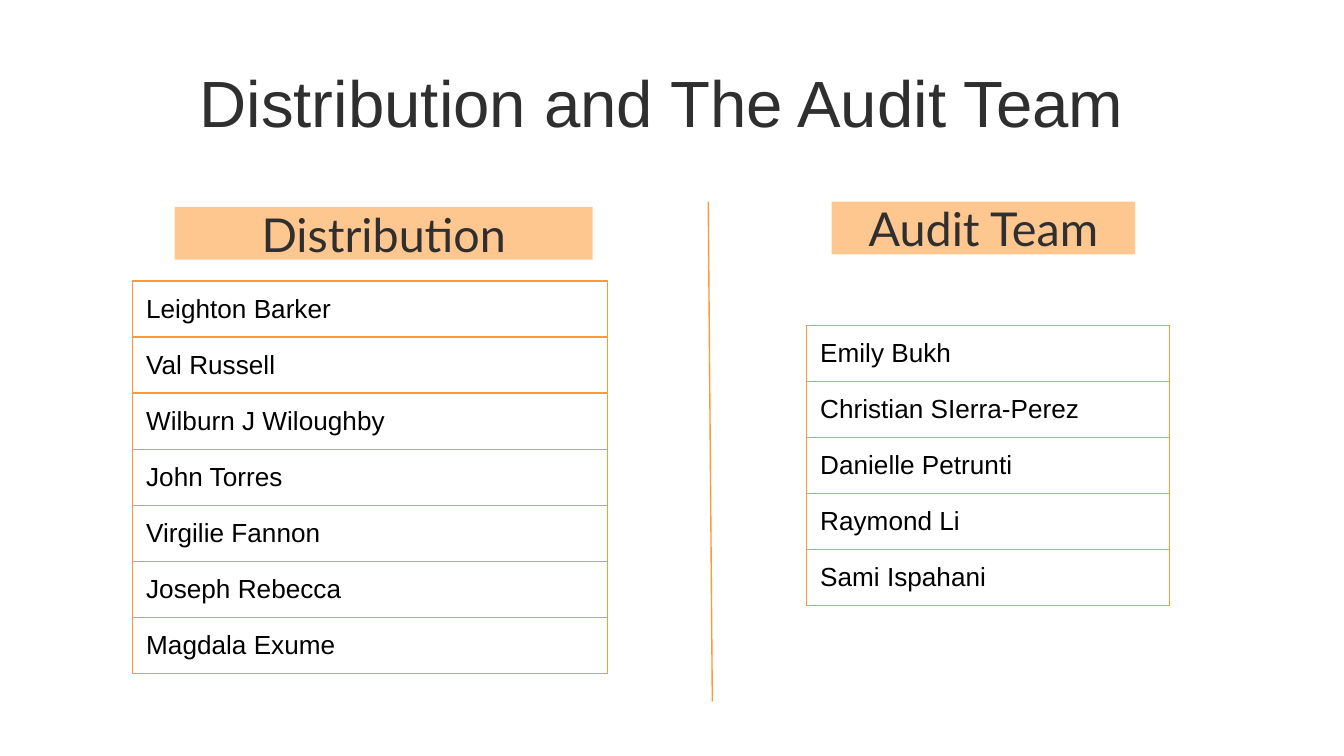
from dataclasses import dataclass

from lxml import etree
from pptx import Presentation
from pptx.dml.color import RGBColor
from pptx.enum.shapes import MSO_CONNECTOR, MSO_SHAPE
from pptx.enum.text import MSO_ANCHOR, PP_ALIGN
from pptx.oxml import parse_xml
from pptx.oxml.ns import nsdecls, qn
from pptx.util import Pt

RECTANGLE = MSO_SHAPE.RECTANGLE
STRAIGHT = MSO_CONNECTOR.STRAIGHT
CENTER = PP_ALIGN.CENTER
MIDDLE, BOTTOM = MSO_ANCHOR.MIDDLE, MSO_ANCHOR.BOTTOM


@dataclass(frozen=True)
class Theme:
    ink: str = "302F2F"
    black: str = "000000"
    orange: str = "FF9933"
    heading_alpha: int = 54000
    body_font: str = "Arial"
    heading_font: str = "Lato"
    title_size: int = 35
    heading_size: int = 25
    name_size: int = 14
    line_width: float = 0.75


THEME = Theme()
EMU_PER_PX = 2286  # 400 px to the inch
PAGE_SIZE = (4000, 2250)
INSET = 40
CELL_BOTTOM_INSET = 32  # lets a line of text fit the row height
ROW_HEIGHT = 167

TITLE = ("Distribution and The Audit Team", (296, 112, 3348, 348))
DIVIDER = (2108, 600, 2120, 2088)
GROUPS = [
    {
        "heading": "Distribution",
        "heading_box": (520, 616, 1244, 157),
        "table_origin": (395, 836),
        "table_width": 1412,
        "names": ["Leighton Barker", "Val Russell", "Wilburn J Wiloughby",
                  "John Torres", "Virgilie Fannon", "Joseph Rebecca",
                  "Magdala Exume"],
    },
    {
        "heading": "Audit Team",
        "heading_box": (2475, 600, 904, 157),
        "table_origin": (2401, 968),
        "table_width": 1080,
        "names": ["Emily Bukh", "Christian SIerra-Perez", "Danielle Petrunti",
                  "Raymond Li", "Sami Ispahani"],
    },
]


def px(*lengths):
    return [length * EMU_PER_PX for length in lengths]


def write(frame, text, font, size, color, align=None):
    frame.text = text
    paragraph = frame.paragraphs[0]
    paragraph.alignment = align
    style = paragraph.runs[0].font
    style.name, style.size = font, Pt(size)
    style.color.rgb = RGBColor.from_string(color)


def set_insets(holder, bottom=INSET):
    """Set the margins of a text frame or a table cell."""
    for side in ("left", "right", "top"):
        setattr(holder, f"margin_{side}", INSET * EMU_PER_PX)
    holder.margin_bottom = bottom * EMU_PER_PX


def add_title(page):
    text, place = TITLE
    frame = page.shapes.add_textbox(*px(*place)).text_frame
    frame.word_wrap = True
    frame.vertical_anchor = BOTTOM
    set_insets(frame)
    write(frame, text, THEME.body_font, THEME.title_size, THEME.ink, CENTER)


def add_heading(page, text, place):
    box = page.shapes.add_shape(RECTANGLE, *px(*place))
    box.shadow.inherit = False
    box.fill.solid()
    box.fill.fore_color.rgb = RGBColor.from_string(THEME.orange)
    color = box._element.spPr.find(qn("a:solidFill"))[0]
    etree.SubElement(color, qn("a:alpha"), val=str(THEME.heading_alpha))
    box.line.fill.background()
    frame = box.text_frame
    frame.word_wrap = True
    frame.vertical_anchor = MIDDLE
    set_insets(frame)
    write(frame, text, THEME.heading_font, THEME.heading_size, THEME.ink, CENTER)


def set_borders(cell):
    properties = cell._tc.get_or_add_tcPr()
    for index, side in enumerate("LRTB"):
        properties.insert(index, parse_xml(
            f'<a:ln{side} {nsdecls("a")} w="{Pt(THEME.line_width)}">'
            f'<a:solidFill><a:srgbClr val="{THEME.orange}"/></a:solidFill>'
            f'</a:ln{side}>'))


def add_name_table(page, names, origin, width):
    size = (width, ROW_HEIGHT * len(names))
    table = page.shapes.add_table(len(names), 1, *px(*origin, *size)).table
    table.first_row = table.horz_banding = False
    for index, name in enumerate(names):
        cell = table.cell(index, 0)
        cell.fill.background()
        set_insets(cell, CELL_BOTTOM_INSET)
        set_borders(cell)
        write(cell.text_frame, name, THEME.body_font, THEME.name_size, THEME.black)


def add_divider(page):
    divider = page.shapes.add_connector(STRAIGHT, *px(*DIVIDER))
    divider.line.color.rgb = RGBColor.from_string(THEME.orange)
    divider.line.width = Pt(THEME.line_width)
    etree.SubElement(divider._element.spPr, qn("a:effectLst"))


def main():
    deck = Presentation()
    deck.slide_width, deck.slide_height = px(*PAGE_SIZE)
    page = deck.slides.add_slide(deck.slide_layouts[6])
    add_title(page)
    for group in GROUPS:
        add_heading(page, group["heading"], group["heading_box"])
        add_name_table(page, group["names"], group["table_origin"],
                       group["table_width"])
    add_divider(page)
    deck.save("out.pptx")


if __name__ == "__main__":
    main()
